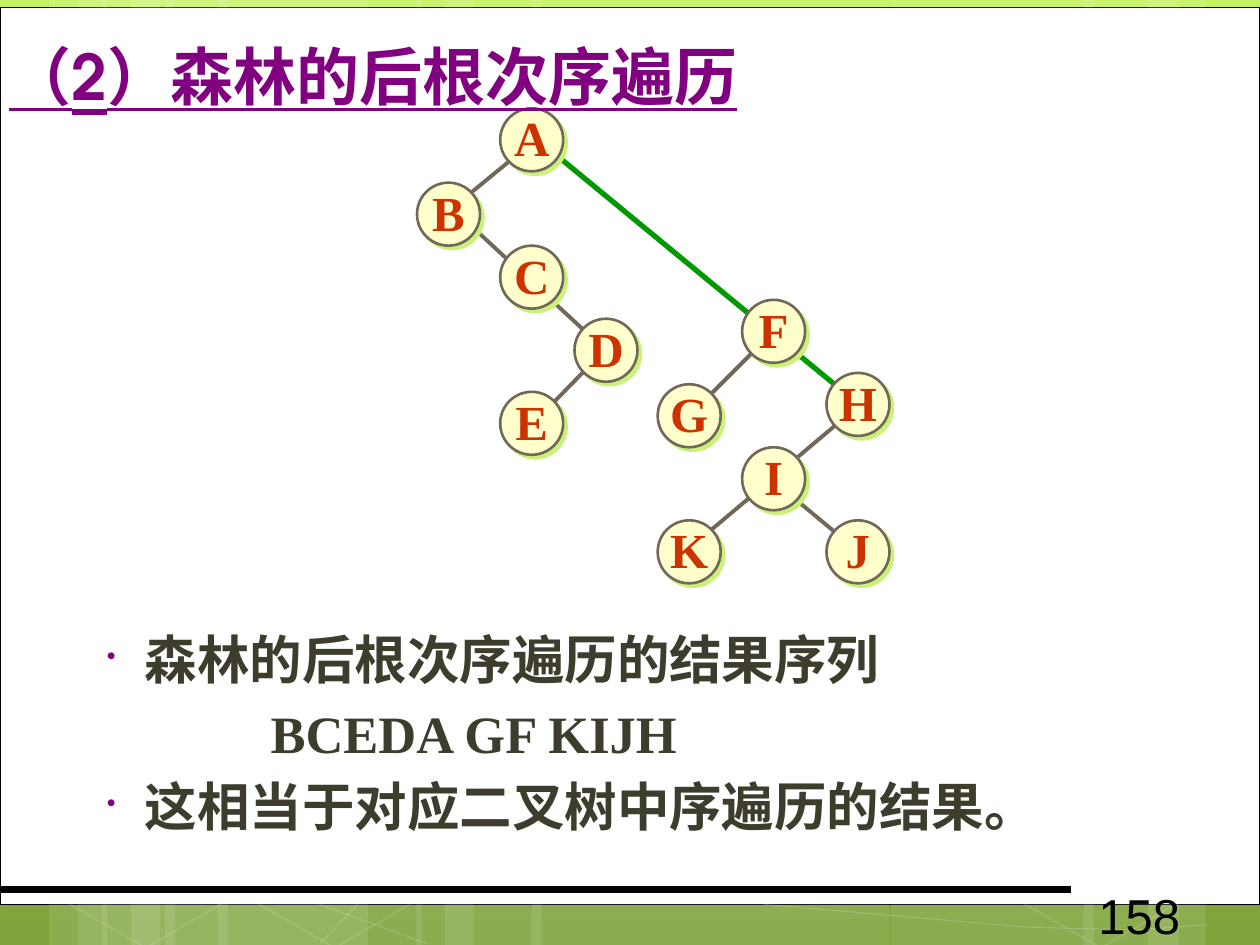
from copy import deepcopy

from lxml import etree
from pptx import Presentation
from pptx.dml.color import RGBColor
from pptx.enum.shapes import MSO_CONNECTOR, MSO_SHAPE
from pptx.enum.text import MSO_ANCHOR, PP_ALIGN
from pptx.oxml.ns import qn
from pptx.util import Inches, Pt


def rgb(hex_color):
    return RGBColor.from_string(hex_color)


def add_element(parent, tag, **attributes):
    """Append a DrawingML child such as "a:buChar" with its attributes."""
    return etree.SubElement(parent, qn(tag), {k: str(v) for k, v in attributes.items()})


prs = Presentation()
prs.slide_width, prs.slide_height = Inches(10), Inches(7.5)
slide = prs.slides.add_slide(prs.slide_layouts[5])
shapes = slide.shapes

# Green background, shaded from top to bottom
background = slide.background.fill
background.gradient()
background.gradient_angle = 270
stop_list = slide.element.find(".//" + qn("a:gsLst"))
stop_list.append(deepcopy(stop_list[-1]))
shades = [(0, "C2F35F"), (0.62, "92BE3F"), (1, "80A33D")]
for stop, (position, color) in zip(background.gradient_stops, shades):
    stop.position = position
    stop.color.rgb = rgb(color)

panel = shapes.add_shape(MSO_SHAPE.RECTANGLE, 0, Inches(0.06), Inches(10), Inches(7.12))
panel.shadow.inherit = False
panel.fill.solid()
panel.fill.fore_color.rgb = rgb("FFFFFF")
panel.line.color.rgb = rgb("000000")
panel.line.width = Pt(0.5)

# Translucent stripes: left, width
stripes = [
    (1.31, 1.61), (0.39, 0.46), (0.62, 0.77), (1.73, 1.62), (0.81, 0.46), (1.04, 0.77),
    (7.07, 1.61), (9.11, 0.46), (8.6, 0.76), (4.22, 2.84), (3.3, 0.46), (3.53, 0.77),
]
for left, width in stripes:
    stripe = shapes.add_shape(MSO_SHAPE.RECTANGLE, Inches(left), 0, Inches(width), Inches(7.5))
    stripe.shadow.inherit = False
    stripe.fill.solid()
    stripe.fill.fore_color.rgb = rgb("FFFFFF")
    add_element(stripe.element.spPr.find(".//" + qn("a:srgbClr")), "a:alpha", val=10000)
    stripe.line.fill.background()

# Faint curves and hexagons that reach the bottom band
curves = [
    [(0.36, 6.17), (1.5, 6.71), (2.52, 7.17), (3.39, 7.49)],
    [(0.37, 5.78), (1.49, 6.16), (3.59, 6.73), (6.09, 7.18), (8.16, 7.36), (9.01, 7.38), (9.58, 7.34)],
    [(2.54, 7.49), (3.09, 6.91), (3.88, 6.39), (4.63, 6.09), (5.91, 5.78), (7.62, 5.62), (9.57, 5.66)],
]
outlines = []
for points in curves:
    (x, y), *rest = [(Inches(px), Inches(py)) for px, py in points]
    builder = shapes.build_freeform(x, y)
    builder.add_line_segments(rest, close=False)
    outlines.append((builder.convert_to_shape(), 0.5, 20000))
for left in (0.41, 1.91, 7.99):
    hexagon = shapes.add_shape(MSO_SHAPE.HEXAGON, Inches(left), Inches(5.92), Inches(1.61), Inches(1.52))
    hexagon.adjustments[0] = 0.285
    hexagon.rotation = 30
    outlines.append((hexagon, 1, 12000))
for outline, width, alpha in outlines:
    outline.shadow.inherit = False
    outline.fill.background()
    outline.line.color.rgb = rgb("FFFFFF")
    outline.line.width = Pt(width)
    add_element(outline.element.spPr.find(".//" + qn("a:srgbClr")), "a:alpha", val=alpha)

# Footer rule and tree edges: from x, y, to x, y, colour, width
GREY, GREEN = "71685A", "009900"
rules = [
    (0, 7.06, 8.5, 7.06, "000000", 4.5),
    (4.39, 1.21, 6.72, 3.13, GREEN, 3),
    (4.72, 2.86, 4.31, 3.28, GREY, 2.25),
    (3.64, 1.7, 4.72, 2.7, GREY, 2.25),
    (4.14, 1.2, 3.64, 1.61, GREY, 2.25),
    (6.31, 3.96, 6.72, 4.3, GREY, 2.25),
    (6.72, 3.3, 5.64, 4.21, GREY, 2.25),
    (6.06, 2.71, 5.56, 3.21, GREY, 2.25),
]
for x1, y1, x2, y2, color, width in rules:
    edge = shapes.add_connector(MSO_CONNECTOR.STRAIGHT, Inches(x1), Inches(y1), Inches(x2), Inches(y2))
    edge.line.color.rgb = rgb(color)
    edge.line.width = Pt(width)
    add_element(edge.element.spPr, "a:effectLst")

nodes = {
    "A": (3.97, 0.86), "B": (3.31, 1.45), "C": (3.97, 1.95), "D": (4.56, 2.53), "E": (3.97, 3.11),
    "F": (5.89, 2.38), "G": (5.22, 3.05), "H": (6.56, 2.96), "I": (5.89, 3.55), "J": (6.56, 4.13),
    "K": (5.22, 4.13),
}
for letter, (left, top) in nodes.items():
    node = shapes.add_shape(MSO_SHAPE.OVAL, Inches(left), Inches(top), Inches(0.5), Inches(0.5))
    node.fill.solid()
    node.fill.fore_color.rgb = rgb("FFFFCC")
    node.line.color.rgb = rgb(GREY)
    node.line.width = Pt(1.5)
    node.shadow.inherit = False
    shadow = add_element(node.element.spPr.find(qn("a:effectLst")), "a:outerShdw",
                         dist=Pt(2.8), dir=45 * 60000, algn="ctr", rotWithShape=0)
    add_element(shadow, "a:srgbClr", val="CAF278")
    label = node.text_frame
    label.word_wrap = False
    label.vertical_anchor = MSO_ANCHOR.MIDDLE
    label.margin_left = label.margin_right = label.margin_top = 0
    label.margin_bottom = Inches(0.04)
    paragraph = label.paragraphs[0]
    paragraph.text = letter
    paragraph.alignment = PP_ALIGN.CENTER
    paragraph.font.name = "Times New Roman"
    paragraph.font.size = Pt(28)
    paragraph.font.bold = True
    paragraph.font.color.rgb = rgb("CC3300")

# Traversal result
result = shapes.add_textbox(Inches(0.67), Inches(4.93), Inches(9), Inches(2.05)).text_frame
result.word_wrap = True
statements = [
    ("森林的后根次序遍历的结果序列", True),
    ("BCEDA GF KIJH", False),
    ("这相当于对应二叉树中序遍历的结果。", True),
]
for i, (statement, bulleted) in enumerate(statements):
    paragraph = result.add_paragraph() if i else result.paragraphs[0]
    paragraph.text = statement
    if i:
        paragraph.space_before = Pt(6)
    properties = paragraph._p.get_or_add_pPr()
    properties.set("marL", str(Inches(0.38 if bulleted else 1.38)))
    if bulleted:
        properties.set("indent", str(Inches(-0.3)))
        add_element(add_element(properties, "a:buClr"), "a:srgbClr", val="800080")
        add_element(properties, "a:buSzPct", val=50000)
        add_element(properties, "a:buChar", char="•")
    paragraph.font.name = "Times New Roman"
    paragraph.font.size = Pt(30)
    paragraph.font.bold = True
    paragraph.font.color.rgb = rgb("3E3D2D")

page_number = shapes.add_textbox(Inches(8.62), Inches(6.98), Inches(1.46), Inches(0.4)).text_frame
page_number.word_wrap = True
page_number.text = "158"
page_number.paragraphs[0].font.name = "Arial"
page_number.paragraphs[0].font.size = Pt(28)
page_number.paragraphs[0].font.color.rgb = rgb("000000")

# Title, brought in front of the panel
title = shapes.title
title.element.getparent().append(title.element)
title.left, title.top, title.width, title.height = Inches(0.07), Inches(0.07), Inches(9), Inches(1.05)
heading = title.text_frame
heading.text = "（2）森林的后根次序遍历"
heading.word_wrap = False
heading.vertical_anchor = MSO_ANCHOR.MIDDLE
heading.margin_left = heading.margin_right = heading.margin_top = heading.margin_bottom = 0
paragraph = heading.paragraphs[0]
paragraph.alignment = PP_ALIGN.LEFT
paragraph.font.name = "TeX Gyre Adventor"
paragraph.font.size = Pt(36)
paragraph.font.bold = True
paragraph.font.underline = True
paragraph.font.color.rgb = rgb("800080")

prs.save("out.pptx")
